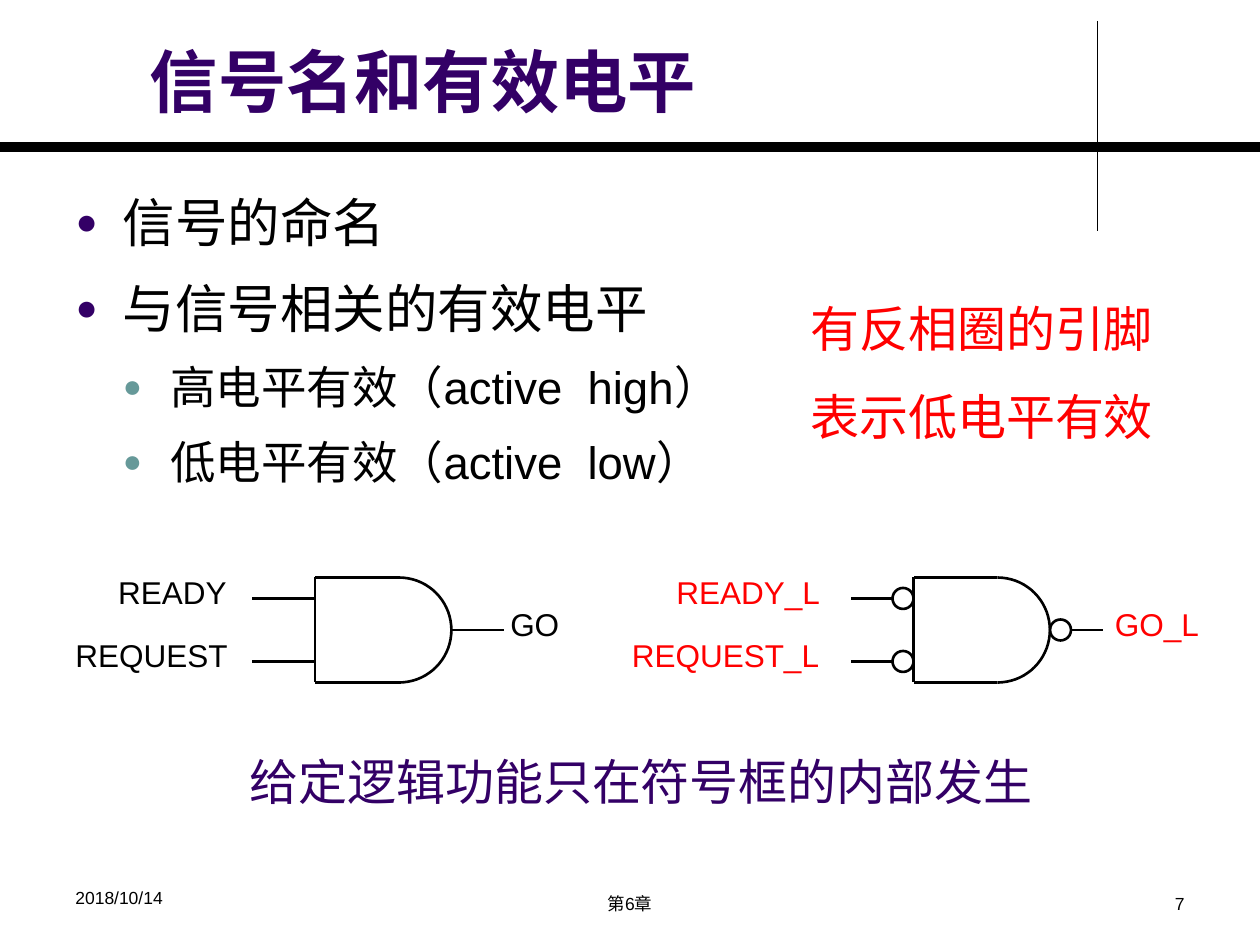
"""Build the slide on signal names and active levels."""
import math
from dataclasses import dataclass

import lxml.etree
import pptx
import pptx.dml.color
import pptx.enum.shapes
import pptx.enum.text
import pptx.oxml.ns
import pptx.util

Pt = pptx.util.Pt
RGBColor = pptx.dml.color.RGBColor
ALIGN = pptx.enum.text.PP_ALIGN
qn = pptx.oxml.ns.qn

BLACK = RGBColor(0x00, 0x00, 0x00)
RED = RGBColor(0xFF, 0x00, 0x00)
PURPLE = RGBColor(0x33, 0x00, 0x66)
TEAL = RGBColor(0x66, 0x99, 0x99)

MID_Y = 360
RADIUS = 30
FLAT = 48
INPUT_OFFSETS = (-18, 18)
BUBBLE = 12


@dataclass
class Label:
    text: str
    x: float
    y: float
    w: float
    h: float
    size: float = 18
    color: RGBColor = BLACK
    align: ALIGN = ALIGN.LEFT
    spacing: float = 1.0


@dataclass
class Gate:
    x: float
    wire_start: float
    wire_end: float
    bubbles: bool
    labels: list[Label]


@dataclass
class Bullet:
    text: str
    level: int
    size: float
    color: RGBColor


LABELS = [
    Label("有反相圈的引脚\n表示低电平有效", 456, 150, 234, 108, 28, RED, spacing=1.5),
    Label("给定逻辑功能只在符号框的内部发生", 135.5, 426, 464.5, 41, 28, PURPLE),
    Label("2018/10/14", 36, 503.5, 168, 24, 10),
    Label("第6章", 246, 507, 228, 21, 10, align=ALIGN.CENTER),
    Label("7", 516, 507, 168, 21, 10, align=ALIGN.RIGHT),
]

GATES = [
    Gate(180, 144, 288, False, [
        Label("READY", 60.5, 324, 83.5, 36),
        Label("REQUEST", 36, 360, 109.5, 36),
        Label("GO", 284.5, 342, 45.5, 36),
    ]),
    Gate(522, 486, 630, True, [
        Label("READY_L", 379.5, 324, 97.5, 29, color=RED),
        Label("REQUEST_L", 354, 360, 123, 29, color=RED),
        Label("GO_L", 630, 342, 64, 29, color=RED),
    ]),
]

BULLETS = [
    Bullet("信号的命名", 0, 30, PURPLE),
    Bullet("与信号相关的有效电平", 0, 30, PURPLE),
    Bullet("高电平有效（active  high）", 1, 26, TEAL),
    Bullet("低电平有效（active  low）", 1, 26, TEAL),
]


def set_font(p, size: float, color: RGBColor, bold: bool = False) -> None:
    p.font.name = "Arial"
    p.font.size = Pt(size)
    p.font.bold = bold
    p.font.color.rgb = color


def place(sp, x: float, y: float, w: float, h: float) -> None:
    sp.left, sp.top, sp.width, sp.height = Pt(x), Pt(y), Pt(w), Pt(h)


def add_line(shapes, x1: float, y1: float, x2: float, y2: float, width: float = 1.5) -> None:
    c = shapes.add_connector(
        pptx.enum.shapes.MSO_CONNECTOR.STRAIGHT, Pt(x1), Pt(y1), Pt(x2), Pt(y2))
    c.line.color.rgb = BLACK
    c.line.width = Pt(width)
    lxml.etree.SubElement(c._element.spPr, qn("a:effectLst"))


def outline(sp) -> None:
    sp.shadow.inherit = False
    sp.fill.background()
    sp.line.color.rgb = BLACK
    sp.line.width = Pt(1.5)


def add_bubble(shapes, x: float, y: float) -> None:
    outline(shapes.add_shape(pptx.enum.shapes.MSO_SHAPE.OVAL, Pt(x), Pt(y - BUBBLE / 2),
                             Pt(BUBBLE), Pt(BUBBLE)))


def add_label(shapes, label: Label) -> None:
    tf = shapes.add_textbox(Pt(label.x), Pt(label.y), Pt(label.w), Pt(label.h)).text_frame
    tf.word_wrap = True
    tf.text = label.text
    for p in tf.paragraphs:
        p.alignment = label.align
        p.line_spacing = label.spacing
        set_font(p, label.size, label.color)


def add_gate(shapes, gate: Gate) -> None:
    group = shapes.add_group_shape().shapes
    center = gate.x + FLAT
    top, bottom = MID_Y - RADIUS, MID_Y + RADIUS
    gap = BUBBLE if gate.bubbles else 0
    angles = [math.radians(a) for a in range(-90, 91, 5)]
    points = [(Pt(center + RADIUS * math.cos(a)), Pt(MID_Y + RADIUS * math.sin(a)))
              for a in angles]
    builder = group.build_freeform(*points[0])
    builder.add_line_segments(points[1:], close=False)
    outline(builder.convert_to_shape())
    add_line(group, center, top, gate.x, top)
    add_line(group, center, bottom, gate.x, bottom)
    add_line(group, gate.x, top, gate.x, bottom)
    for offset in INPUT_OFFSETS:
        y = MID_Y + offset
        add_line(group, gate.x - gap, y, gate.wire_start, y)
        if gate.bubbles:
            add_bubble(group, gate.x - gap, y)
    tip = center + RADIUS
    add_line(group, tip + gap, MID_Y, gate.wire_end, MID_Y)
    if gate.bubbles:
        add_bubble(group, tip, MID_Y)
    for label in gate.labels:
        add_label(group, label)


def format_bullet(p, bullet: Bullet) -> None:
    p.text = bullet.text
    p.level = bullet.level
    p.line_spacing = 1.2
    p.space_before = Pt(bullet.size * 0.2)
    set_font(p, bullet.size, BLACK)
    pPr = p._p.get_or_add_pPr()
    pPr.set("marL", str(Pt(27 * (bullet.level + 1))))
    pPr.set("indent", str(-Pt(27)))
    marks = [lxml.etree.Element(qn(tag)) for tag in ("a:buClr", "a:buSzPct", "a:buChar")]
    lxml.etree.SubElement(marks[0], qn("a:srgbClr")).set("val", str(bullet.color))
    marks[1].set("val", "70000")
    marks[2].set("char", "●")
    at = pPr.index(pPr.find(qn("a:defRPr")))
    pPr[at:at] = marks


def main() -> None:
    prs = pptx.Presentation()
    prs.slide_width, prs.slide_height = Pt(720), Pt(540)
    s = prs.slides.add_slide(prs.slide_layouts[1])
    add_line(s.shapes, 627, 12, 627, 132, 0.75)
    add_line(s.shapes, 0, 84, 720, 84, 6)

    title, body = s.placeholders
    place(title, 78.5, 14.5, 543.5, 58.5)
    tf = title.text_frame
    tf.text = "信号名和有效电平"
    tf.auto_size = pptx.enum.text.MSO_AUTO_SIZE.NONE
    tf.vertical_anchor = pptx.enum.text.MSO_ANCHOR.BOTTOM
    tf.paragraphs[0].alignment = ALIGN.LEFT
    set_font(tf.paragraphs[0], 39, PURPLE, bold=True)

    place(body, 36, 98, 684, 195)
    tf = body.text_frame
    tf.auto_size = pptx.enum.text.MSO_AUTO_SIZE.NONE
    for i, bullet in enumerate(BULLETS):
        format_bullet(tf.add_paragraph() if i else tf.paragraphs[0], bullet)

    for label in LABELS:
        add_label(s.shapes, label)
    for gate in GATES:
        add_gate(s.shapes, gate)
    prs.save("out.pptx")


if __name__ == "__main__":
    main()
